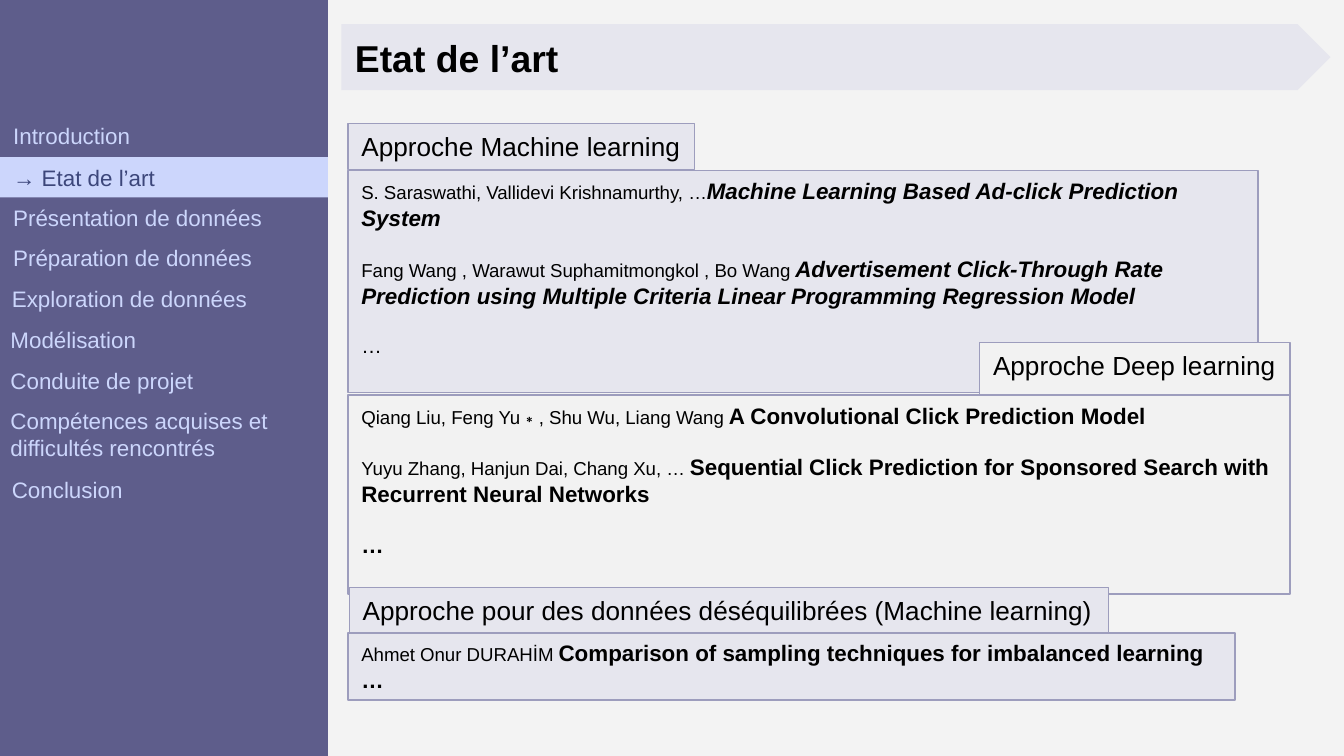
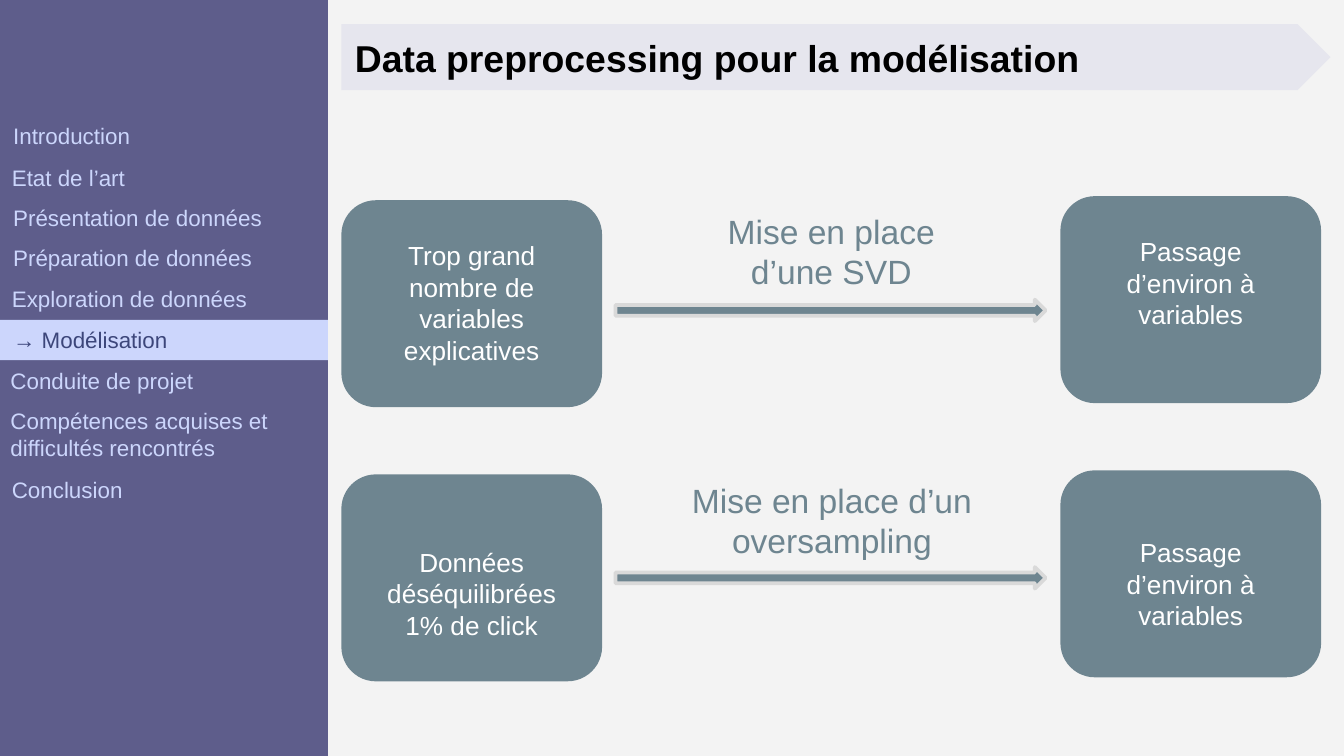
import pptx
import pptx.util
import pptx.dml.color
import pptx.enum.shapes
import pptx.enum.text

Inches = pptx.util.Inches
Pt = pptx.util.Pt
RGBColor = pptx.dml.color.RGBColor
ShapeType = pptx.enum.shapes.MSO_SHAPE
Align = pptx.enum.text.PP_ALIGN
Anchor = pptx.enum.text.MSO_ANCHOR

FONT = "Arial"
BLACK = RGBColor(0x00, 0x00, 0x00)
WHITE = RGBColor(0xFF, 0xFF, 0xFF)
BACKGROUND = RGBColor(0xF3, 0xF3, 0xF3)
LAVENDER = RGBColor(0xE6, 0xE6, 0xEE)
PALE_GREY = RGBColor(0xF2, 0xF2, 0xF2)
BORDER = RGBColor(0x9D, 0x9D, 0xBD)
SIDEBAR = RGBColor(0x5E, 0x5D, 0x8B)
PERIWINKLE = RGBColor(0xCC, 0xD6, 0xFC)
ACTIVE_TEXT = RGBColor(0x3C, 0x46, 0x7A)
SLATE = RGBColor(0x6E, 0x85, 0x90)
ARROW_BORDER = RGBColor(0xD9, 0xD9, 0xD9)

SLIDE_WIDTH = 10
SLIDE_HEIGHT = SLIDE_WIDTH * 9 / 16
SIDEBAR_WIDTH = 2.44
TITLE_PLACE = (2.54, 0.18, 7.36, 0.49)
SECTIONS = [
    ("Introduction", 0, 0.86, 0.3),
    ("Etat de l’art", -0.01, 1.17, 0.3),
    ("Présentation de données", 0, 1.47, 0.3),
    ("Préparation de données", 0, 1.77, 0.3),
    ("Exploration de données", -0.01, 2.07, 0.3),
    ("Modélisation", -0.02, 2.38, 0.3),
    ("Conduite de projet", -0.02, 2.68, 0.3),
    ("Compétences acquises et difficultés rencontrés", -0.02, 2.98, 0.59),
    ("Conclusion", -0.01, 3.49, 0.3),
]


def format_run(run, size, color, bold=False, italic=False):
    run.font.name = FONT
    run.font.size = Pt(size)
    run.font.color.rgb = color
    run.font.bold = bold
    run.font.italic = italic


def write_text(shape, text, size, color, align=Align.LEFT, wrap=True):
    frame = shape.text_frame
    frame.word_wrap = wrap
    frame.vertical_anchor = Anchor.TOP
    frame.text = text
    for paragraph in frame.paragraphs:
        paragraph.alignment = align
        for run in paragraph.runs:
            format_run(run, size, color)


def add_box(slide, kind, place, fill, border=None, border_width=0.75):
    shape = slide.shapes.add_shape(kind, *map(Inches, place))
    shape.shadow.inherit = False
    shape.fill.solid()
    shape.fill.fore_color.rgb = fill
    if border is None:
        shape.line.fill.background()
    else:
        shape.line.color.rgb = border
        shape.line.width = Pt(border_width)
    return shape


def add_text(slide, place, text, size, color, align=Align.LEFT):
    box = slide.shapes.add_textbox(*map(Inches, place))
    write_text(box, text, size, color, align)


def add_title(slide, text):
    title = slide.shapes.title
    band = add_box(slide, ShapeType.PENTAGON, TITLE_PLACE, LAVENDER)
    title.element.addprevious(band.element)
    title.left, title.top, title.width, title.height = map(Inches, TITLE_PLACE)
    write_text(title, text, 20, BLACK)
    frame = title.text_frame
    frame.auto_size = pptx.enum.text.MSO_AUTO_SIZE.NONE
    frame.vertical_anchor = Anchor.MIDDLE
    frame.margin_left = frame.margin_right = Inches(0.1)
    frame.margin_top = frame.margin_bottom = Inches(0.1)
    frame.paragraphs[0].runs[0].font.bold = True


def add_sidebar(slide, active):
    add_box(slide, ShapeType.RECTANGLE, (0, 0, SIDEBAR_WIDTH, SLIDE_HEIGHT), SIDEBAR)
    for section, left, top, height in SECTIONS:
        if section == active:
            place = (0, top, SIDEBAR_WIDTH, height)
            marker = add_box(slide, ShapeType.RECTANGLE, place, PERIWINKLE)
            write_text(marker, f"→ {section}", 12, ACTIVE_TEXT)
        else:
            add_text(slide, (left, top, SIDEBAR_WIDTH, height), section, 12, PERIWINKLE)


def add_section_slide(presentation, title, active):
    slide = presentation.slides.add_slide(presentation.slide_layouts[5])
    slide.background.fill.solid()
    slide.background.fill.fore_color.rgb = BACKGROUND
    add_title(slide, title)
    add_sidebar(slide, active)
    return slide


def add_heading(slide, place, text, fill):
    heading = add_box(slide, ShapeType.RECTANGLE, place, fill, BORDER)
    write_text(heading, text, 14, BLACK, wrap=False)


def add_references(slide, place, fill, references, ellipsis, gap, italic=False):
    box = add_box(slide, ShapeType.RECTANGLE, place, fill, BORDER)
    frame = box.text_frame
    write_text(box, "\n".join(authors for authors, work in references), 10, BLACK)
    for paragraph, (authors, work) in zip(frame.paragraphs, references):
        run = paragraph.add_run()
        run.text = work
        format_run(run, 12, BLACK, bold=True, italic=italic)
    for paragraph in frame.paragraphs[1:]:
        paragraph.space_before = Pt(gap)
    size, bold = ellipsis
    closing = frame.add_paragraph()
    closing.text = "…"
    closing.alignment = Align.LEFT
    closing.space_before = Pt(gap)
    format_run(closing.runs[0], size, BLACK, bold=bold)


def add_step(slide, left, top, text, top_margin):
    step = add_box(slide, ShapeType.ROUNDED_RECTANGLE, (left, top, 1.94, 1.54), SLATE)
    write_text(step, text, 14, WHITE, Align.CENTER)
    frame = step.text_frame
    frame.margin_top = Inches(top_margin)
    frame.margin_left = frame.margin_right = Inches(0.15)


def add_arrow(slide, top):
    add_box(slide, ShapeType.RIGHT_ARROW, (4.58, top, 3.2, 0.16), SLATE, ARROW_BORDER, 2)


def build_state_of_the_art(presentation):
    slide = add_section_slide(presentation, "Etat de l’art", "Etat de l’art")
    add_references(
        slide, (2.59, 1.27, 6.77, 1.65), LAVENDER,
        [
            ("S. Saraswathi, Vallidevi Krishnamurthy, …",
             "Machine Learning Based Ad-click Prediction System"),
            ("Fang Wang , Warawut Suphamitmongkol , Bo Wang ",
             "Advertisement Click-Through Rate Prediction using Multiple Criteria "
             "Linear Programming Regression Model"),
        ],
        ellipsis=(11, False), gap=13, italic=True,
    )
    add_heading(slide, (2.59, 0.92, 2.58, 0.34), "Approche Machine learning", LAVENDER)
    add_heading(slide, (7.29, 2.55, 2.31, 0.57), "Approche Deep learning", PALE_GREY)
    add_references(
        slide, (2.59, 2.94, 7.01, 1.48), PALE_GREY,
        [
            ("Qiang Liu, Feng Yu∗, Shu Wu, Liang Wang ",
             "A Convolutional Click Prediction Model"),
            ("Yuyu Zhang, Hanjun Dai, Chang Xu, … ",
             "Sequential Click Prediction for Sponsored Search with "
             "Recurrent Neural Networks"),
        ],
        ellipsis=(12, True), gap=13,
    )
    add_heading(
        slide, (2.6, 4.37, 5.65, 0.34),
        "Approche pour des données déséquilibrées (Machine learning)", LAVENDER,
    )
    add_references(
        slide, (2.59, 4.71, 6.6, 0.5), LAVENDER,
        [("Ahmet Onur DURAHİM ", "Comparison of sampling techniques for imbalanced learning")],
        ellipsis=(12, True), gap=0,
    )


def build_preprocessing(presentation):
    slide = add_section_slide(
        presentation, "Data preprocessing pour la modélisation", "Modélisation"
    )
    outcome = "Passage d’environ à variables"
    add_step(slide, 2.54, 1.49, "Trop grand nombre de variables explicatives", 0.22)
    add_step(slide, 7.89, 1.46, outcome, 0.22)
    add_step(slide, 2.54, 3.53, "Données déséquilibrées\n1% de click", 0.46)
    add_step(slide, 7.89, 3.5, outcome, 0.42)
    add_text(slide, (5.01, 1.52, 2.35, 0.71), "Mise en place d’une SVD", 18, SLATE, Align.CENTER)
    add_text(
        slide, (4.97, 3.52, 2.44, 0.71), "Mise en place d’un oversampling", 18, SLATE, Align.CENTER
    )
    for top in (2.23, 4.22):
        add_arrow(slide, top)


def main():
    presentation = pptx.Presentation()
    presentation.slide_width = Inches(SLIDE_WIDTH)
    presentation.slide_height = Inches(SLIDE_HEIGHT)
    build_state_of_the_art(presentation)
    build_preprocessing(presentation)
    presentation.save("out.pptx")


if __name__ == "__main__":
    main()
